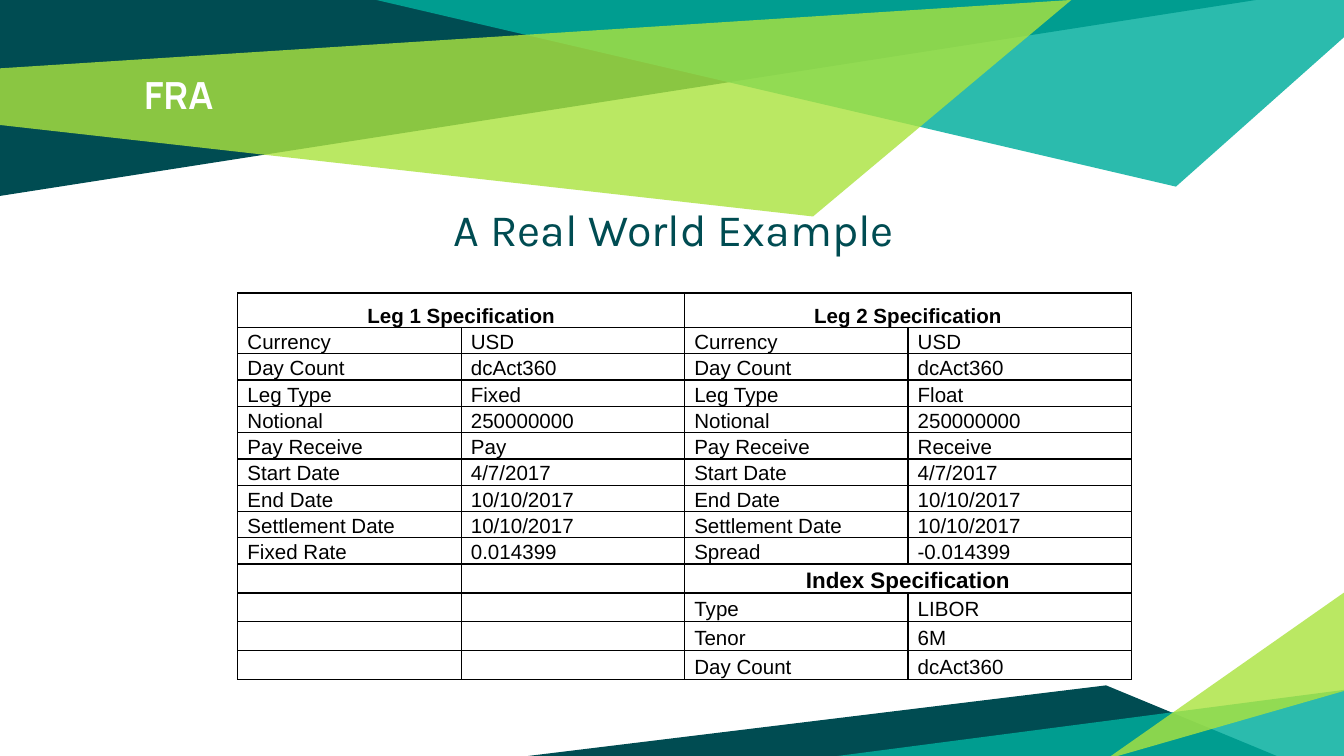
from lxml.etree import SubElement
from pptx import Presentation
from pptx.dml.color import RGBColor
from pptx.enum.text import MSO_ANCHOR, MSO_AUTO_SIZE, PP_ALIGN
from pptx.oxml.ns import qn
from pptx.util import Pt

COLORS = {"dark": "004C52", "teal": "00AE9D", "lime": "ABE33F",
          "white": "FFFFFF", "black": "000000"}


def write(frame, text, font="Arial", size=11, color="black", bold=False,
          align=PP_ALIGN.LEFT, spacing=1.0, before=0):
    paragraph = frame.paragraphs[0]
    paragraph.alignment = align
    paragraph.line_spacing = spacing
    paragraph.space_before = Pt(before)
    if not text:
        SubElement(paragraph._p, qn("a:endParaRPr"), sz=str(size * 100))
        return paragraph
    run = paragraph.add_run()
    run.text = text
    run.font.name = font
    run.font.size = Pt(size)
    run.font.bold = bold
    run.font.color.rgb = RGBColor.from_string(COLORS[color])
    return paragraph


class Deck:
    def __init__(self, width, height):
        self.presentation = Presentation()
        self.presentation.slide_width = Pt(width)
        self.presentation.slide_height = Pt(height)

    def new_slide(self):
        self.slide = self.presentation.slides.add_slide(self.presentation.slide_layouts[1])

    def facet(self, points, color, opacity=100):
        corners = [(Pt(x), Pt(y)) for x, y in points]
        builder = self.slide.shapes.build_freeform(*corners[0], scale=1.0)
        builder.add_line_segments(corners[1:], close=True)
        facet = builder.convert_to_shape()
        facet.shadow.inherit = False
        facet.line.fill.background()
        facet.fill.solid()
        facet.fill.fore_color.rgb = RGBColor.from_string(COLORS[color])
        if opacity < 100:
            tint = facet.fill._xPr.find(".//" + qn("a:srgbClr"))
            SubElement(tint, qn("a:alpha"), val=str(opacity * 1000))

    def placeholder(self, index, box, text, **style):
        holder = self.slide.placeholders[index]
        holder.left, holder.top, holder.width, holder.height = map(Pt, box)
        holder.element.getparent().append(holder.element)
        frame = holder.text_frame
        frame.word_wrap = True
        frame.auto_size = MSO_AUTO_SIZE.NONE
        frame.vertical_anchor = MSO_ANCHOR.TOP
        frame.margin_left = frame.margin_right = Pt(7.2)
        frame.margin_top = frame.margin_bottom = Pt(7.2)
        return write(frame, text, **style)

    def border(self, cell):
        properties = cell._tc.get_or_add_tcPr()
        for position, side in enumerate(("lnL", "lnR", "lnT", "lnB")):
            line = SubElement(properties, qn("a:" + side), w=str(Pt(0.75)))
            fill = SubElement(line, qn("a:solidFill"))
            SubElement(fill, qn("a:srgbClr"), val=COLORS["black"])
            properties.remove(line)
            properties.insert(position, line)

    def table(self, left, top, column_width, heights, rows, headings):
        columns = len(rows[0])
        table = self.slide.shapes.add_table(
            len(rows), columns, Pt(left), Pt(top),
            Pt(column_width * columns), Pt(sum(heights))).table
        table.first_row = table.horz_banding = False
        for column in table.columns:
            column.width = Pt(column_width)
        for r, row in enumerate(rows):
            table.rows[r].height = Pt(heights[r])
            for c, text in enumerate(row):
                cell = table.cell(r, c)
                cell.margin_left = cell.margin_right = Pt(5.2)
                cell.margin_top = cell.margin_bottom = 0
                cell.vertical_anchor = MSO_ANCHOR.MIDDLE if r else MSO_ANCHOR.TOP
                cell.fill.background()
                self.border(cell)
                style = headings.get((r, c), {"spacing": 1.15})
                write(cell.text_frame, text, **style)
        for r, c in headings:
            table.cell(r, c).merge(table.cell(r, c + 1))


deck = Deck(720, 405)
deck.new_slide()

FACETS = [
    ([(0, 0), (0, 105), (673, 0)], "dark", 100),
    ([(201.6, 0), (630, 100), (720, 20), (720, 0)], "teal", 83),
    ([(-0.7, 36.7), (0, 67), (435.6, 116), (574, 0)], "lime", 81),
    ([(283, 405), (684, 405), (592.6, 367.2)], "dark", 100),
    ([(721.4, 369.4), (721.4, 406.8), (435, 406.8)], "teal", 83),
    ([(720.7, 370), (720.7, 317), (592.6, 406.8)], "lime", 81),
]
for facet in FACETS:
    deck.facet(*facet)

deck.placeholder(0, (70, 31.7, 580, 46), "FRA", font="Manrope", size=20,
                 color="white", bold=True)
subtitle = deck.placeholder(1, (54, 100.8, 608.4, 294.5), "A Real World Example",
                            font="Karla", size=24, color="dark",
                            align=PP_ALIGN.CENTER, before=6)
indents = subtitle._p.get_or_add_pPr()
indents.set("marL", str(Pt(5.8)))
indents.set("indent", "0")
SubElement(indents, qn("a:buNone"))

LEG_TERMS = [
    ("Currency", "USD", "USD"),
    ("Day Count", "dcAct360", "dcAct360"),
    ("Leg Type", "Fixed", "Float"),
    ("Notional", "250000000", "250000000"),
    ("Pay Receive", "Pay", "Receive"),
    ("Start Date", "4/7/2017", "4/7/2017"),
    ("End Date", "10/10/2017", "10/10/2017"),
    ("Settlement Date", "10/10/2017", "10/10/2017"),
]
INDEX_TERMS = [("Type", "LIBOR"), ("Tenor", "6M"), ("Day Count", "dcAct360")]
specification = [("Leg 1 Specification", "", "Leg 2 Specification", "")]
specification += [(term, leg1, term, leg2) for term, leg1, leg2 in LEG_TERMS]
specification += [("Fixed Rate", "0.014399", "Spread", "-0.014399"),
                  ("", "", "Index Specification", "")]
specification += [("", "", term, value) for term, value in INDEX_TERMS]

leg_heading = {"bold": True, "align": PP_ALIGN.CENTER, "spacing": 1.5}
index_heading = {"bold": True, "align": PP_ALIGN.CENTER, "spacing": 1.15, "size": 12}
deck.table(127.4, 157, 119.7, [18.2] + [14.1] * 9 + [15.5] * 4, specification,
           {(0, 0): leg_heading, (0, 2): leg_heading, (10, 2): index_heading})

deck.presentation.save("out.pptx")
